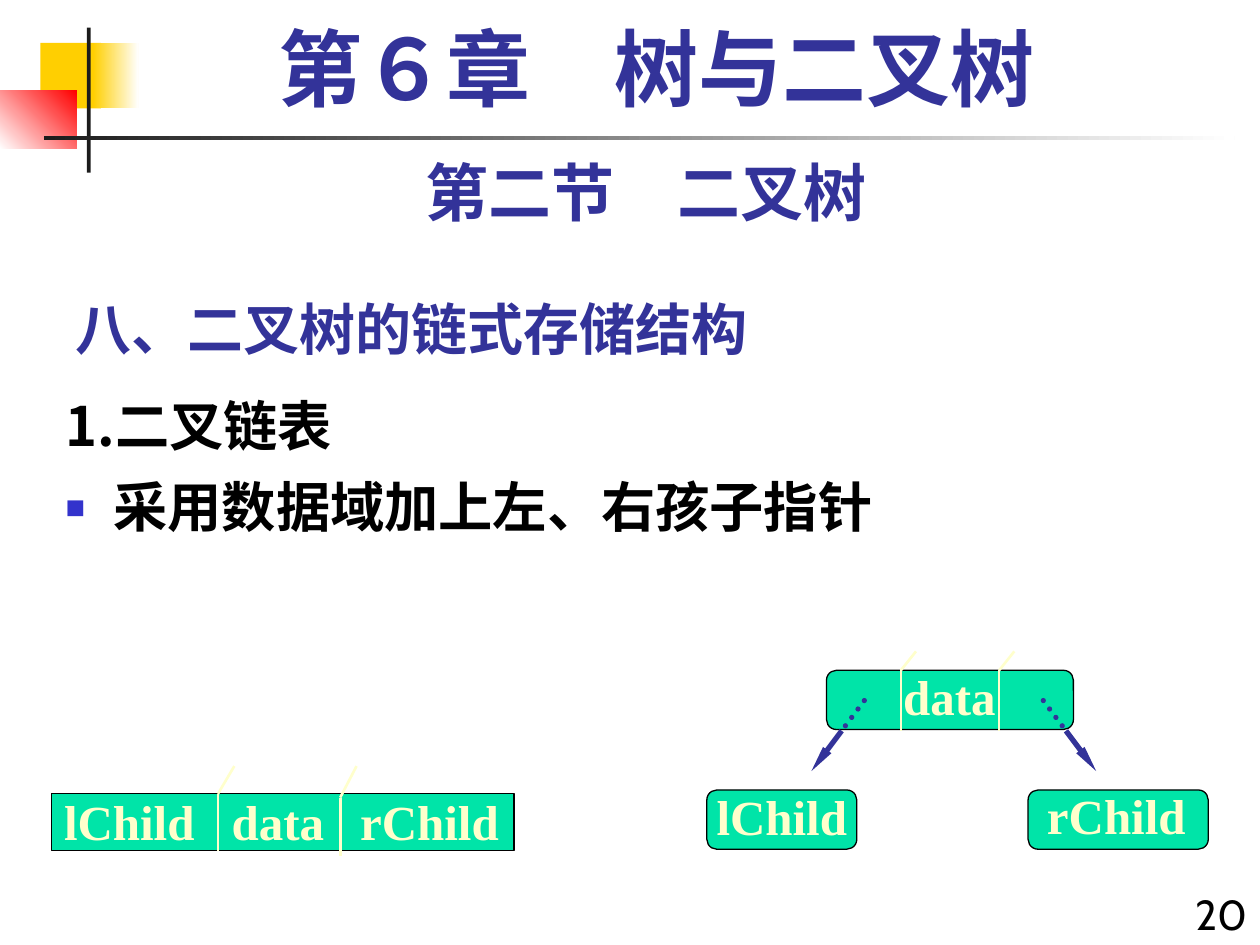
from lxml import etree
from pptx import Presentation
from pptx import util as u
from pptx.dml.color import RGBColor
from pptx.enum import dml, shapes, text
from pptx.oxml.ns import qn

COLORS = {
    "gold": "FFCF01", "red": "FF0000", "white": "FFFFFF", "ink": "1C1C1C",
    "navy": "333399", "bullet": "3333CC", "black": "000000",
    "green": "00E4A8", "cream": "FFFFCC",
}
RGB = {name: RGBColor.from_string(value) for name, value in COLORS.items()}
SANS, SERIF, ROUND = "Noto Sans CJK SC", "Times New Roman", "Cabin"

deck = Presentation()
deck.slide_width, deck.slide_height = u.Inches(10), u.Inches(7.5)
CELL = deck.slide_width / 100  # the slide is 100 columns by 75 rows
page = deck.slides.add_slide(deck.slide_layouts[1])


def grid(*cells):
    """Turn columns and rows into slide lengths."""
    return [u.Emu(round(CELL * count)) for count in cells]


def write(para, words, size, font, color, bold=True):
    """Add a run; Chinese beside the serif font is set in the sans font."""
    span = para.add_run()
    span.text = words
    span.font.size, span.font.bold, span.font.name = u.Pt(size), bold, font
    span.font.color.rgb = RGB[color]
    etree.SubElement(span._r.get_or_add_rPr(), qn("a:ea"),
                     typeface=SANS if font == SERIF else font)


# Corner ornament and rule: place, colours from start to end, angle
ornament = [
    ((3.2, 3.4, 4.8, 5.2), ["gold"], 0),
    ((7.4, 3.4, 3.6, 5.2), ["gold", "white"], 0),
    ((0, 7.2, 6.1, 4.6), ["white", "red"], 45),
    ((6.9, 2.2, 0.3, 11.5), ["ink"], 0),
    ((3.5, 10.8, 94.5, 0.3), ["ink", "white"], 0),
]
for place, colors, angle in ornament:
    block = page.shapes.add_shape(shapes.MSO_SHAPE.RECTANGLE, *grid(*place))
    block.shadow.inherit = False
    block.line.fill.background()
    if len(colors) == 1:
        block.fill.solid()
        block.fill.fore_color.rgb = RGB[colors[0]]
    else:
        block.fill.gradient()
        block.fill.gradient_angle = angle
        for stop, color, position in zip(block.fill.gradient_stops, colors, (0, 1)):
            stop.color.rgb, stop.position = RGB[color], position

# Section title
title = page.shapes.title
title.left, title.top, title.width, title.height = grid(5, 21.7, 62.5, 7.5)
title.text_frame.auto_size = text.MSO_AUTO_SIZE.NONE
title.text_frame.vertical_anchor = text.MSO_ANCHOR.BOTTOM
para = title.text_frame.paragraphs[0]
para.alignment = text.PP_ALIGN.LEFT
write(para, "八、二叉树的链式存储结构", 32, SANS, "navy")

# Body list
body = page.placeholders[1]
body.left, body.top, body.width, body.height = grid(4.2, 30.8, 95.8, 44.2)
frame = body.text_frame
frame.auto_size = text.MSO_AUTO_SIZE.NONE
frame.margin_top = grid(0.8)[0]
for index, words in enumerate(["1.二叉链表", "采用数据域加上左、右孩子指针"]):
    para = frame.add_paragraph() if index else frame.paragraphs[0]
    para.line_spacing = 0.93
    para.space_before = u.Pt(11.6 if index else 0)
    props = para._p.get_or_add_pPr()
    props.set("marL", str(grid(3.8)[0]))
    props.set("indent", str(grid(-3.8)[0]))
    if index:
        tint = etree.SubElement(props, qn("a:buClr"))
        etree.SubElement(tint, qn("a:srgbClr"), val=COLORS["bullet"])
        etree.SubElement(props, qn("a:buSzPct"), val="60000")
        etree.SubElement(props, qn("a:buChar"), char="■")
    else:
        etree.SubElement(props, qn("a:buNone"))
    write(para, words, 31, SANS, "black")

# Chapter, section and page number
headings = [
    ((6.7, 1.7, 90.8, 8.3), "第６章　树与二叉树", 48, SERIF, "navy", "CENTER", 0.9),
    ((5, 11.7, 92.5, 7), "第二节　二叉树", 36, ROUND, "navy", "CENTER", 1),
    ((93.3, 70, 6.7, 5.9), "20", 24, ROUND, "black", "RIGHT", 1),
]
for place, words, size, font, color, side, spacing in headings:
    box = page.shapes.add_textbox(*grid(*place))
    box.text_frame.word_wrap = True
    para = box.text_frame.paragraphs[0]
    para.alignment = text.PP_ALIGN[side]
    para.line_spacing = spacing
    write(para, words, size, font, color, bold=color == "navy")

# Node panels: the record on the left, the linked nodes on the right
panels = [
    ("RECTANGLE", (4.1, 63, 36.7, 4.5)),
    ("ROUNDED_RECTANGLE", (65.6, 53.2, 19.6, 4.7)),
    ("ROUNDED_RECTANGLE", (56.1, 62.7, 11.9, 4.7)),
    ("ROUNDED_RECTANGLE", (81.6, 62.7, 14.3, 4.7)),
]
for kind, place in panels:
    panel = page.shapes.add_shape(shapes.MSO_SHAPE[kind], *grid(*place))
    panel.shadow.inherit = False
    panel.fill.solid()
    panel.fill.fore_color.rgb = RGB["green"]
    panel.line.color.rgb, panel.line.width = RGB["black"], u.Pt(0.75)

# Node labels; the record's fields stand at tab stops
labels = [
    ((4.1, 62.3, 36.5, 5.7), "lChild\tdata\trChild", (13.3, 23.5)),
    ((70.7, 52.4, 9.3, 5.7), "data", ()),
    ((55.9, 61.9, 12.3, 5.7), "lChild", ()),
    ((82.1, 61.8, 13, 5.7), "rChild", ()),
]
for place, words, stops in labels:
    box = page.shapes.add_textbox(*grid(*place))
    frame = box.text_frame
    frame.word_wrap = True
    frame.vertical_anchor = text.MSO_ANCHOR.MIDDLE
    para = frame.paragraphs[0]
    if stops:
        para.alignment = text.PP_ALIGN.LEFT
        tabs = etree.SubElement(para._p.get_or_add_pPr(), qn("a:tabLst"))
        for stop in grid(*stops):
            etree.SubElement(tabs, qn("a:tab"), pos=str(stop), algn="l")
    else:
        para.alignment = text.PP_ALIGN.CENTER
        frame.margin_left = frame.margin_right = 0
    write(para, words, 28, SERIF, "cream")

# Field dividers, each with a slanted tip, then the two mirrored pointers
lines = []
for x, top, bottom, tip_x, tip_y in [
    (17.3, 63, 67.5, 1.3, 60.8), (27, 63.3, 67.9, 1.3, 60.8),
    (71.5, 53.2, 58, 1.2, 51.7), (79.3, 53.2, 58, 1.2, 51.7),
]:
    lines.append(((x, bottom, x, top), "cream", 1.5, None))
    lines.append(((x, top, x + tip_x, tip_y), "cream", 1.5, None))
MIDDLE = 75.7
for side in (-1, 1):
    inner, edge, outer = (MIDDLE + side * reach for reach in (7.1, 8.9, 11.3))
    lines.append(((inner, 55.6, edge, 58), "navy", 3, "dots"))
    lines.append(((edge, 58, outer, 61.2), "navy", 3, "arrow"))

for ends, color, width, style in lines:
    line = page.shapes.add_connector(shapes.MSO_CONNECTOR.STRAIGHT, *grid(*ends))
    line.line.color.rgb, line.line.width = RGB[color], u.Pt(width)
    if style == "dots":
        line.line.dash_style = dml.MSO_LINE.ROUND_DOT
        line.line._get_or_add_ln().set("cap", "rnd")
    elif style == "arrow":
        etree.SubElement(line.line._get_or_add_ln(), qn("a:tailEnd"),
                         type="triangle", w="sm", len="lg")
    etree.SubElement(line._element.spPr, qn("a:effectLst"))

deck.save("out.pptx")
